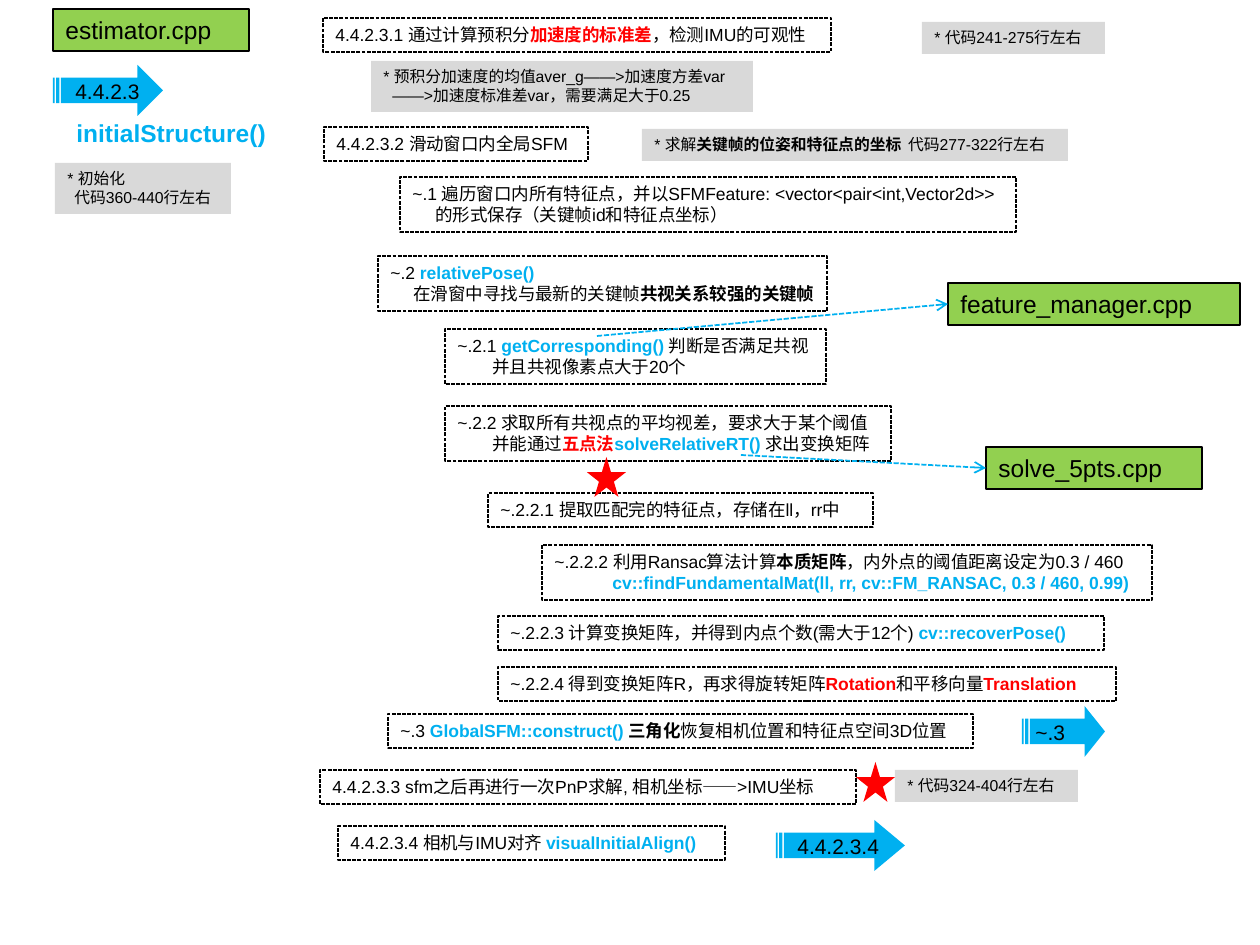
from lxml import etree
from pptx import Presentation
from pptx.dml.color import RGBColor
from pptx.enum.dml import MSO_LINE
from pptx.enum.shapes import MSO_CONNECTOR, MSO_SHAPE
from pptx.enum.text import MSO_ANCHOR, MSO_AUTO_SIZE, PP_ALIGN
from pptx.oxml.ns import qn
from pptx.util import Pt

SCALE = 914400 / 126
RECT = MSO_SHAPE.RECTANGLE
ARROW = MSO_SHAPE.STRIPED_RIGHT_ARROW
STAR = MSO_SHAPE.STAR_5_POINT
STRAIGHT = MSO_CONNECTOR.STRAIGHT
DASH = MSO_LINE.SQUARE_DOT
LEFT = PP_ALIGN.LEFT
TOP = MSO_ANCHOR.TOP
FIXED = MSO_AUTO_SIZE.NONE

FONT = "Arial"
LEFT_SIDE = 1
COLORS = {"black": "000000", "blue": "00B0F0", "red": "FF0000",
          "green": "92D050", "gray": "D9D9D9"}
STYLES = {"plain": ("black", False), "bold": ("black", True),
          "call": ("blue", True), "key": ("red", True)}

STEPS = [
    (323, 18, 508, 0, [[("4.4.2.3.1 通过计算预积分", "plain"), ("加速度的标准差", "key"),
                        ("，检测IMU的可观性", "plain")]]),
    (324, 127, 264, 0, [[("4.4.2.3.2 滑动窗口内全局SFM", "plain")]]),
    (400, 177, 616, 23, [
        [("~.1 遍历窗口内所有特征点，并以SFMFeature: <vector<pair<int,Vector2d>>", "plain")],
        [("的形式保存（关键帧id和特征点坐标）", "plain")]]),
    (378, 256, 449, 23, [
        [("~.2 ", "plain"), ("relativePose()", "call")],
        [("在滑窗中寻找与最新的关键帧", "plain"), ("共视关系较强的关键帧", "bold")]]),
    (445, 329, 381, 35, [
        [("~.2.1 ", "plain"), ("getCorresponding() ", "call"), ("判断是否满足共视", "plain")],
        [("并且共视像素点大于20个", "plain")]]),
    (445, 406, 446, 35, [
        [("~.2.2 求取所有共视点的平均视差，要求大于某个阈值", "plain")],
        [("并能通过", "plain"), ("五点法", "key"), ("solveRelativeRT() ", "call"),
         ("求出变换矩阵", "plain")]]),
    (488, 493, 385, 0, [[("~.2.2.1 提取匹配完的特征点，存储在ll，rr中", "plain")]]),
    (542, 545, 610, 58, [
        [("~.2.2.2 利用Ransac算法计算", "plain"), ("本质矩阵", "bold"),
         ("，内外点的阈值距离设定为0.3 / 460", "plain")],
        [("cv::findFundamentalMat(ll, rr, cv::FM_RANSAC, 0.3 / 460, 0.99)", "call")]]),
    (498, 616, 606, 0, [[("~.2.2.3 计算变换矩阵，并得到内点个数(需大于12个) ", "plain"),
                         ("cv::recoverPose()", "call")]]),
    (498, 667, 618, 0, [[("~.2.2.4 得到变换矩阵R，再求得旋转矩阵", "plain"), ("Rotation", "key"),
                         ("和平移向量", "plain"), ("Translation", "key")]]),
    (388, 714, 585, 0, [[("~.3 ", "plain"), ("GlobalSFM::construct() ", "call"),
                         ("三角化", "bold"), ("恢复相机位置和特征点空间3D位置", "plain")]]),
    (320, 770, 536, 0, [[("4.4.2.3.3 sfm之后再进行一次PnP求解, 相机坐标——>IMU坐标", "plain")]]),
    (338, 826, 387, 0, [[("4.4.2.3.4 相机与IMU对齐 ", "plain"),
                         ("visualInitialAlign()", "call")]]),
]

NOTES = [
    (371, 61, 382, 9, [[("* 预积分加速度的均值aver_g——>加速度方差var", "plain")],
                       [("——>加速度标准差var，需要满足大于0.25", "plain")]]),
    (895, 770, 183, 0, [[("* 代码324-404行左右", "plain")]]),
    (642, 129, 426, 0, [[("* 求解", "plain"), ("关键帧的位姿和特征点的坐标", "bold"),
                         ("  代码277-322行左右", "plain")]]),
    (922, 22, 183, 0, [[("* 代码241-275行左右", "plain")]]),
    (55, 163, 176, 7, [[("* 初始化", "plain")], [("代码360-440行左右", "plain")]]),
]


def px(n):
    return round(n * SCALE)


def rgb(name):
    return RGBColor.from_string(COLORS[name])


def write(tf, lines, size=10, indent=0):
    tf.word_wrap = True
    tf.auto_size = FIXED
    tf.vertical_anchor = TOP
    tf.margin_right = 0
    for i, runs in enumerate(lines):
        p = tf.add_paragraph() if i else tf.paragraphs[0]
        p.alignment = LEFT
        if i and indent:
            p._p.get_or_add_pPr().set("marL", str(px(indent)))
        for text, style in runs:
            r = p.add_run()
            r.text = text
            color, r.font.bold = STYLES[style]
            r.font.name = FONT
            r.font.size = Pt(size)
            r.font.color.rgb = rgb(color)


def add_shape(s, kind, x, y, w, h, fill=None, line=None, dash=None):
    sp = s.shapes.add_shape(kind, px(x), px(y), px(w), px(h))
    sp.shadow.inherit = False
    if fill:
        sp.fill.solid()
        sp.fill.fore_color.rgb = rgb(fill)
    else:
        sp.fill.background()
    if line:
        sp.line.color.rgb = rgb(line)
        sp.line.width = Pt(0.75)
        if dash:
            sp.line.dash_style = dash
    else:
        sp.line.fill.background()
    return sp


def add_label(s, x, y, w, h, text, size, style="plain"):
    sp = s.shapes.add_textbox(px(x), px(y), px(w), px(h))
    write(sp.text_frame, [[(text, style)]], size=size)


def add_step(s, x, y, w, indent, lines):
    sp = add_shape(s, RECT, x, y, w, 13 + 21 * len(lines), line="black", dash=DASH)
    write(sp.text_frame, lines, indent=indent)


def add_note(s, x, y, w, indent, lines):
    sp = add_shape(s, RECT, x, y, w, 13 + 19 * len(lines), fill="gray")
    write(sp.text_frame, lines, size=9, indent=indent)


def add_file(s, x, y, w, name):
    sp = add_shape(s, RECT, x, y, w, 42, fill="green", line="black")
    write(sp.text_frame, [[(name, "plain")]], size=14)
    return sp


def add_jump(s, x, y, w, head, label_x, label_w, text):
    sp = add_shape(s, ARROW, x, y, w, 51, fill="blue")
    sp.adjustments[1] = head
    add_label(s, label_x, y + 7, label_w, 38, text, 12)


def add_link(s, x, y, target):
    c = s.shapes.add_connector(STRAIGHT, px(x), px(y), target.left, target.top)
    c.end_connect(target, LEFT_SIDE)
    c.line.color.rgb = rgb("blue")
    c.line.width = Pt(1)
    c.line.dash_style = DASH
    etree.SubElement(c.line._get_or_add_ln(), qn("a:tailEnd"), type="arrow")
    etree.SubElement(c._element.spPr, qn("a:effectLst"))


def main():
    prs = Presentation()
    prs.slide_width, prs.slide_height = px(1260), px(945)
    s = prs.slides.add_slide(prs.slide_layouts[6])

    add_file(s, 53, 9, 196, "estimator.cpp")
    add_label(s, 64, 112, 214, 42, "initialStructure()", 14, "call")
    for step in STEPS:
        add_step(s, *step)
    for note in NOTES:
        add_note(s, *note)

    add_jump(s, 53, 65, 110, 0.5, 63, 90, "4.4.2.3")
    add_jump(s, 1022, 706, 83, 0.4, 1023, 73, "~.3")
    add_jump(s, 776, 820, 129, 0.6, 785, 137, "4.4.2.3.4")

    solver = add_file(s, 986, 447, 216, "solve_5pts.cpp")
    manager = add_file(s, 948, 283, 292, "feature_manager.cpp")
    add_link(s, 741, 455, solver)
    add_link(s, 597, 336, manager)
    for x, y in ((587, 457), (856, 762)):
        add_shape(s, STAR, x, y, 39, 40, fill="red")

    prs.save("out.pptx")


if __name__ == "__main__":
    main()
